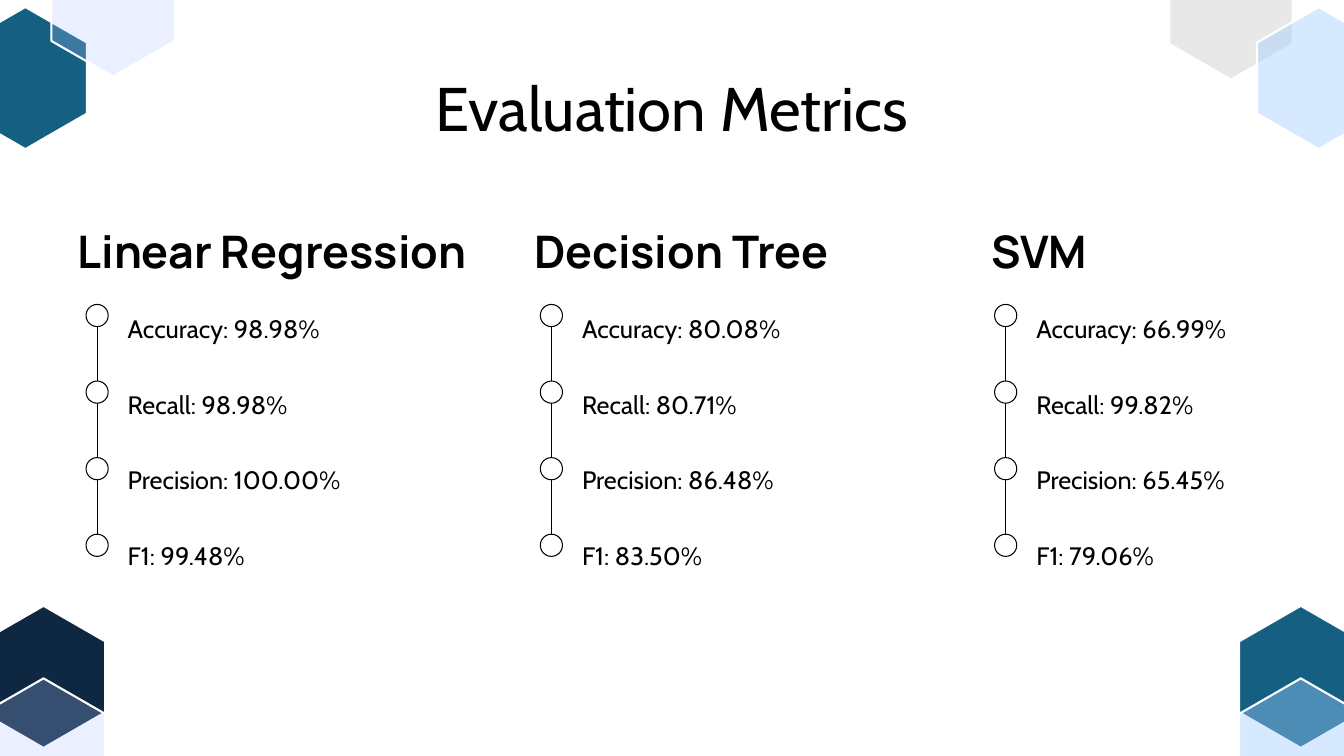
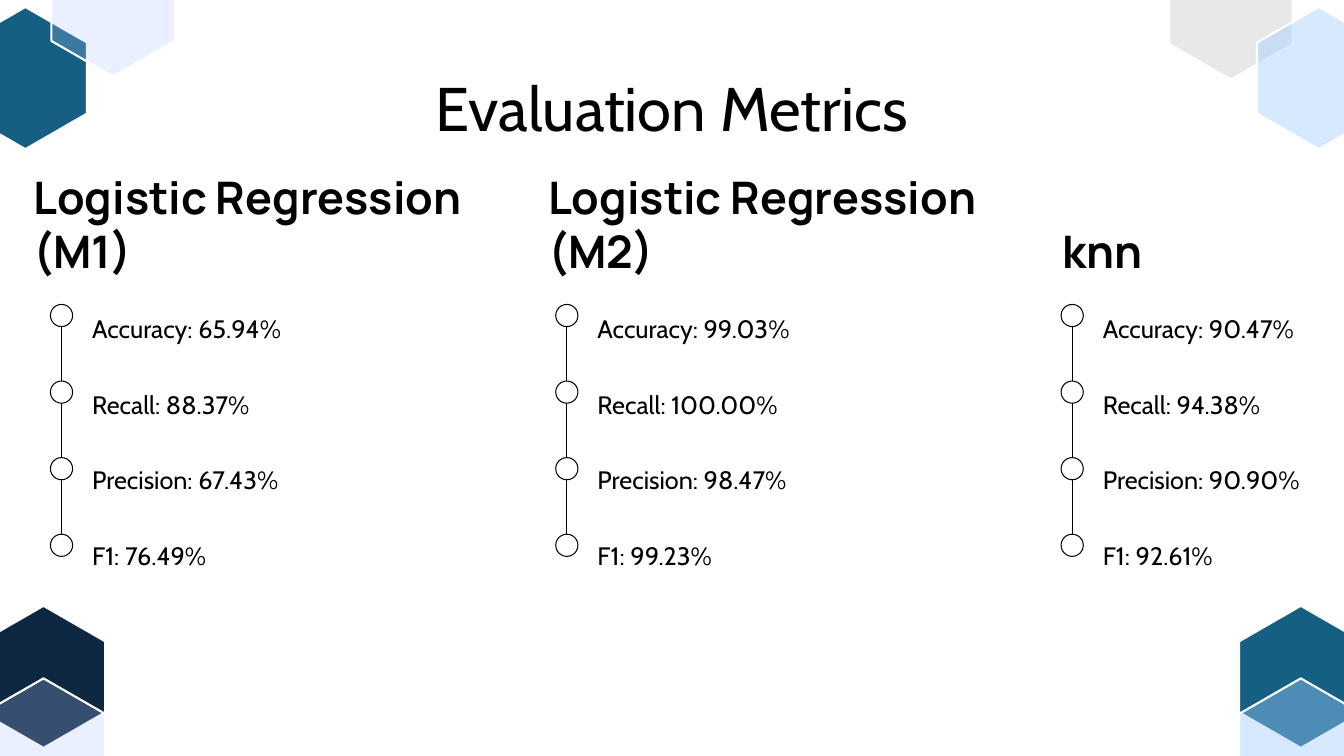
import dataclasses

import lxml.etree
import pptx
import pptx.dml.color
import pptx.enum.shapes
import pptx.enum.text
import pptx.oxml.ns
import pptx.util

ANCHOR = pptx.enum.text.MSO_ANCHOR
ALIGN = pptx.enum.text.PP_ALIGN
SHAPE = pptx.enum.shapes.MSO_SHAPE
CONNECTOR = pptx.enum.shapes.MSO_CONNECTOR
qn = pptx.oxml.ns.qn


@dataclasses.dataclass(frozen=True)
class Theme:
    ink: str = "000000"
    white: str = "FFFFFF"
    navy: str = "0E2841"
    teal: str = "156082"
    gray: str = "E8E8E8"
    lavender: str = "AFC7FF"
    sky: str = "9FCBFD"
    body_font: str = "Cabin"
    heading_font: str = "Manrope"
    title_size: int = 44
    heading_size: int = 32
    body_size: int = 18
    thin_line: float = 0.75
    hexagon_line: float = 1.5


THEME = Theme()
SLIDE_WIDTH = pptx.util.Inches(13.33)
SLIDE_HEIGHT = pptx.util.Inches(7.5)

METRICS = ("Accuracy", "Recall", "Precision", "F1")
DOT_SIZE = 1.65
FIRST_DOT = 40.27
DOT_PITCH = 10.13

HEXAGONS = (
    (-1.35, 80.13, THEME.navy, 100),
    (-1.35, 89.73, THEME.lavender, 25),
    (-2.7, 0.93, THEME.teal, 100),
    (3.83, -8.67, THEME.lavender, 25),
    (87, -8.27, THEME.gray, 100),
    (93.53, 0.93, THEME.sky, 41),
    (92.2, 80.13, THEME.teal, 100),
    (92.2, 89.73, THEME.sky, 41),
)


@dataclasses.dataclass(frozen=True)
class MetricsPage:
    heading_left: float
    heading_pitch: float
    dot_left: float
    dot_pitch: float
    models: tuple


PAGES = (
    MetricsPage(4.8, 34, 6.4, 33.8, (
        ("Linear Regression", ("98.98%", "98.98%", "100.00%", "99.48%")),
        ("Decision Tree", ("80.08%", "80.71%", "86.48%", "83.50%")),
        ("SVM", ("66.99%", "99.82%", "65.45%", "79.06%")),
    )),
    MetricsPage(1.5, 38.3, 3.75, 37.6, (
        ("Logistic Regression (M1)", ("65.94%", "88.37%", "67.43%", "76.49%")),
        ("Logistic Regression (M2)", ("99.03%", "100.00%", "98.47%", "99.23%")),
        ("knn", ("90.47%", "94.38%", "90.90%", "92.61%")),
    )),
)


def cols(percent):
    return round(SLIDE_WIDTH * percent / 100)


def rows(percent):
    return round(SLIDE_HEIGHT * percent / 100)


def rgb(color):
    return pptx.dml.color.RGBColor.from_string(color)


def set_line(line, color, width):
    line.color.rgb = rgb(color)
    line.width = pptx.util.Pt(width)


def add_text(page, area, lines, font, size, bold=False, align=ALIGN.LEFT,
             anchor=ANCHOR.TOP, spacing=None, margin=None):
    left, top, width, height = area
    box = page.shapes.add_textbox(cols(left), rows(top), cols(width), rows(height))
    frame = box.text_frame
    frame.word_wrap = True
    frame.vertical_anchor = anchor
    if margin is not None:
        inset = pptx.util.Inches(margin)
        frame.margin_left = frame.margin_right = inset
        frame.margin_top = frame.margin_bottom = inset
    frame.text = "\n".join(lines)
    for para in frame.paragraphs:
        para.alignment = align
        if spacing is not None:
            para.line_spacing = spacing
        para.font.name = font
        para.font.size = pptx.util.Pt(size)
        para.font.bold = bold
        para.font.color.rgb = rgb(THEME.ink)


def add_hexagon(page, left, top, color, opacity):
    x, y = cols(left), rows(top)
    width, height = cols(9.18), rows(18.8)
    corners = ((0.5, 0), (0, 0.25), (0, 0.75), (0.5, 1), (1, 0.75), (1, 0.25))
    points = [(round(x + width * across), round(y + height * down))
              for across, down in corners]
    builder = page.shapes.build_freeform(*points[0])
    builder.add_line_segments(points[1:], close=True)
    hexagon = builder.convert_to_shape()
    hexagon.shadow.inherit = False
    hexagon.fill.solid()
    hexagon.fill.fore_color.rgb = rgb(color)
    if opacity < 100:
        fill_color = next(hexagon.element.iter(qn("a:srgbClr")))
        lxml.etree.SubElement(fill_color, qn("a:alpha"), val=str(opacity * 1000))
    set_line(hexagon.line, THEME.white, THEME.hexagon_line)
    return hexagon


def decorate_layout(layout, page):
    for hexagon in HEXAGONS:
        layout.shapes.element.append(add_hexagon(page, *hexagon).element)


def add_dot(page, left, top):
    dot = page.shapes.add_shape(SHAPE.OVAL, cols(left), rows(top),
                                cols(DOT_SIZE), cols(DOT_SIZE))
    dot.shadow.inherit = False
    dot.fill.background()
    set_line(dot.line, THEME.ink, THEME.thin_line)
    return dot


def add_link(page, upper, lower):
    center = upper.left + upper.width // 2
    link = page.shapes.add_connector(CONNECTOR.STRAIGHT, center,
                                     upper.top + upper.height, center, lower.top)
    set_line(link.line, THEME.ink, THEME.thin_line)
    lxml.etree.SubElement(link.element.spPr, qn("a:effectLst"))


def add_timeline(page, left):
    dots = [add_dot(page, left, FIRST_DOT + index * DOT_PITCH)
            for index in range(len(METRICS))]
    for upper, lower in zip(dots, dots[1:]):
        add_link(page, upper, lower)


def add_model(page, heading_left, dot_left, name, values):
    heading_width = min(38.6, 100 - heading_left)
    add_text(page, (heading_left, 27.6, heading_width, 10.8), [name],
             THEME.heading_font, THEME.heading_size, bold=True,
             anchor=ANCHOR.BOTTOM, margin=0.13)
    add_timeline(page, dot_left)
    lines = [f"{metric}: {value}" for metric, value in zip(METRICS, values)]
    add_text(page, (dot_left + 2.37, 34.8, 18.3, 40.13), lines,
             THEME.body_font, THEME.body_size, spacing=2.5)


def add_title(page, text):
    add_text(page, (7.88, 8.67, 84.24, 11.2), [text], THEME.body_font,
             THEME.title_size, align=ALIGN.CENTER, spacing=0.9, margin=0.13)


def main():
    deck = pptx.Presentation()
    deck.slide_width = SLIDE_WIDTH
    deck.slide_height = SLIDE_HEIGHT
    layout = deck.slide_layouts[6]
    pages = [deck.slides.add_slide(layout) for _ in PAGES]
    decorate_layout(layout, pages[0])
    for page, content in zip(pages, PAGES):
        add_title(page, "Evaluation Metrics")
        for index, (name, values) in enumerate(content.models):
            add_model(page,
                      content.heading_left + index * content.heading_pitch,
                      content.dot_left + index * content.dot_pitch,
                      name, values)
    deck.save("out.pptx")


if __name__ == "__main__":
    main()
